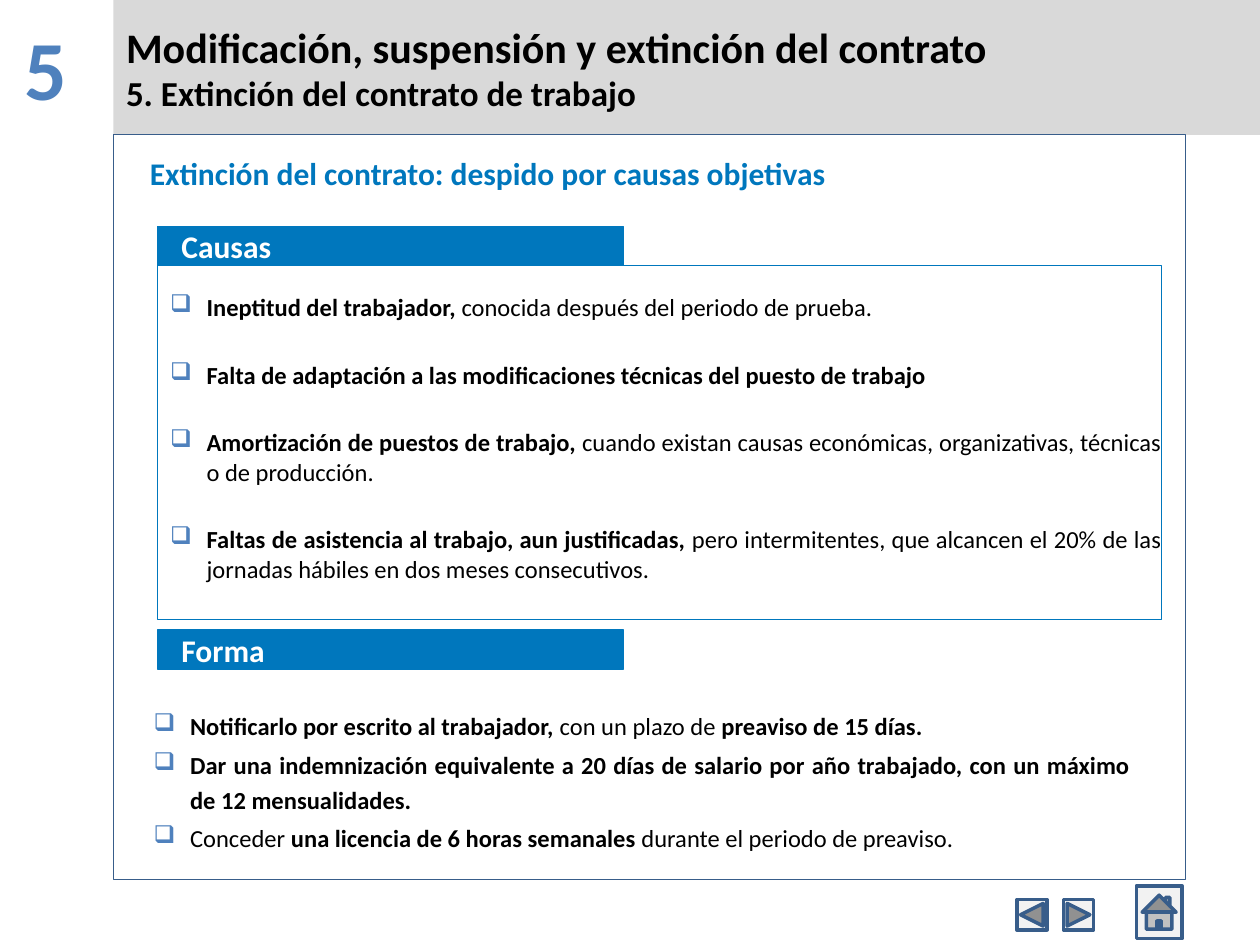
from dataclasses import dataclass

from lxml import etree
from pptx import Presentation
from pptx import util as u
from pptx.dml.color import RGBColor
from pptx.enum import shapes, text
from pptx.oxml.ns import qn


@dataclass(frozen=True)
class Theme:
    font: str = "Calibri"
    ink: str = "000000"
    paper: str = "FFFFFF"
    banner: str = "D9D9D9"
    accent: str = "0077BD"
    marker: str = "4F81BD"
    edge: str = "385D8A"
    button: str = "F2F2F2"
    number_size: float = 48
    title_size: float = 24
    subtitle_size: float = 20
    heading_size: float = 18
    body_size: float = 14


THEME = Theme()
COLUMNS, ROWS = 100, 75
CELL = u.Inches(0.1)

CAUSES = [
    [("Ineptitud del trabajador, ", True), ("conocida después del periodo de prueba.", False)],
    [("Falta de adaptación a las modificaciones técnicas del puesto de trabajo", True)],
    [("Amortización de puestos de trabajo, ", True),
     ("cuando existan causas económicas, organizativas, técnicas o de producción.", False)],
    [("Faltas de asistencia al trabajo, aun justificadas, ", True),
     ("pero intermitentes, que alcancen el 20% de las jornadas hábiles en dos meses consecutivos.", False)],
]
FORMALITIES = [
    [("Notificarlo por escrito al trabajador,", True), (" con un plazo de ", False),
     ("preaviso de 15 días.", True)],
    [("Dar una indemnización equivalente a 20 días de salario por año trabajado, "
      "con un máximo de 12 mensualidades.", True)],
    [("Conceder ", False), ("una licencia de 6 horas semanales ", True),
     ("durante el periodo de preaviso.", False)],
]


def cells(*counts):
    return [round(count * CELL) for count in counts]


def colour(value):
    return RGBColor.from_string(value)


def set_frame(shape, insets=(1, 0.5, 1, 0.5), anchor=text.MSO_ANCHOR.TOP):
    frame = shape.text_frame
    frame.word_wrap = True
    frame.auto_size = text.MSO_AUTO_SIZE.NONE
    frame.vertical_anchor = anchor
    frame.margin_left, frame.margin_top, frame.margin_right, frame.margin_bottom = cells(*insets)
    return frame


def add_span(para, words, size, tint=THEME.ink, bold=True):
    span = para.add_run()
    span.text = words
    span.font.name = THEME.font
    span.font.size = u.Pt(size)
    span.font.bold = bold
    span.font.color.rgb = colour(tint)


def add_panel(page, place, kind=shapes.MSO_SHAPE.RECTANGLE, fill=None, line=THEME.edge, width=0.75):
    panel = page.shapes.add_shape(kind, *cells(*place))
    panel.shadow.inherit = False
    if fill:
        panel.fill.solid()
        panel.fill.fore_color.rgb = colour(fill)
    else:
        panel.fill.background()
    panel.line.color.rgb = colour(line)
    panel.line.width = u.Pt(width)
    return panel


def add_label(page, place, words, size, tint, align=text.PP_ALIGN.LEFT, insets=(1, 0.5, 1, 0.5)):
    box = page.shapes.add_textbox(*cells(*place))
    para = set_frame(box, insets).paragraphs[0]
    para.alignment = align
    add_span(para, words, size, tint)


def add_section_bar(page, place, words):
    bar = add_panel(page, place, fill=THEME.accent, line=THEME.accent)
    para = set_frame(bar, (1.9, 0.5, 0, 0.5), text.MSO_ANCHOR.MIDDLE).paragraphs[0]
    para.alignment = text.PP_ALIGN.LEFT
    add_span(para, words, THEME.heading_size, THEME.paper)


def add_bullet(para):
    properties = para._p.get_or_add_pPr()
    left, hanging = cells(3.9, -2.9)
    properties.set("marL", str(left))
    properties.set("indent", str(hanging))
    tint = etree.SubElement(properties, qn("a:buClr"))
    etree.SubElement(tint, qn("a:srgbClr"), val=THEME.marker)
    etree.SubElement(properties, qn("a:buChar"), char="❑")


def fill_list(frame, items, gap, spacing=1.0):
    for index, item in enumerate(items):
        para = frame.add_paragraph() if index else frame.paragraphs[0]
        add_bullet(para)
        para.alignment = text.PP_ALIGN.JUSTIFY
        para.line_spacing = spacing
        para.space_before = u.Pt(gap if index else 0)
        para.space_after = u.Pt(0)
        for words, bold in item:
            add_span(para, words, THEME.body_size, bold=bold)


def format_title(page):
    title = page.shapes.title
    title.left, title.top, title.width, title.height = cells(9, 0, 91, 10.7)
    title.fill.solid()
    title.fill.fore_color.rgb = colour(THEME.banner)
    frame = set_frame(title, anchor=text.MSO_ANCHOR.MIDDLE)
    lines = [("Modificación, suspensión y extinción del contrato", THEME.title_size),
             ("5. Extinción del contrato de trabajo", THEME.subtitle_size)]
    for index, (words, size) in enumerate(lines):
        para = frame.add_paragraph() if index else frame.paragraphs[0]
        para.alignment = text.PP_ALIGN.LEFT
        add_span(para, words, size)


def add_navigation(page):
    kinds = shapes.MSO_SHAPE
    buttons = [(kinds.ACTION_BUTTON_BACK_OR_PREVIOUS, (80.7, 71.4, 2.4, 2.4)),
               (kinds.ACTION_BUTTON_FORWARD_OR_NEXT, (84.4, 71.4, 2.4, 2.4)),
               (kinds.ACTION_BUTTON_HOME, (90.2, 70.3, 3.6, 4.2))]
    for kind, place in buttons:
        add_panel(page, place, kind, fill=THEME.button, width=2)


def main():
    deck = Presentation()
    deck.slide_width, deck.slide_height = cells(COLUMNS, ROWS)
    page = deck.slides.add_slide(deck.slide_layouts[5])

    format_title(page)
    add_label(page, (0, 0, 9, 10), "5", THEME.number_size, THEME.marker,
              text.PP_ALIGN.CENTER, (1, 1.3, 2.7, 0.5))
    add_panel(page, (9, 10.7, 85.1, 59.1))
    add_label(page, (10.9, 11.7, 80.5, 7), "Extinción del contrato: despido por causas objetivas",
              THEME.heading_size, THEME.accent)

    add_section_bar(page, (12.5, 18, 37, 3.1), "Causas")
    causes = add_panel(page, (12.5, 21.1, 79.7, 28.1), line=THEME.accent, width=0.5)
    fill_list(set_frame(causes, (0, 2.1, 0, 0.5)), CAUSES, gap=21.8)

    add_section_bar(page, (12.5, 50, 37, 3.1), "Forma")
    formalities = page.shapes.add_textbox(*cells(10.2, 55.5, 80.5, 12.7))
    fill_list(set_frame(formalities), FORMALITIES, gap=1.8, spacing=1.2)

    add_navigation(page)
    deck.save("out.pptx")


if __name__ == "__main__":
    main()
